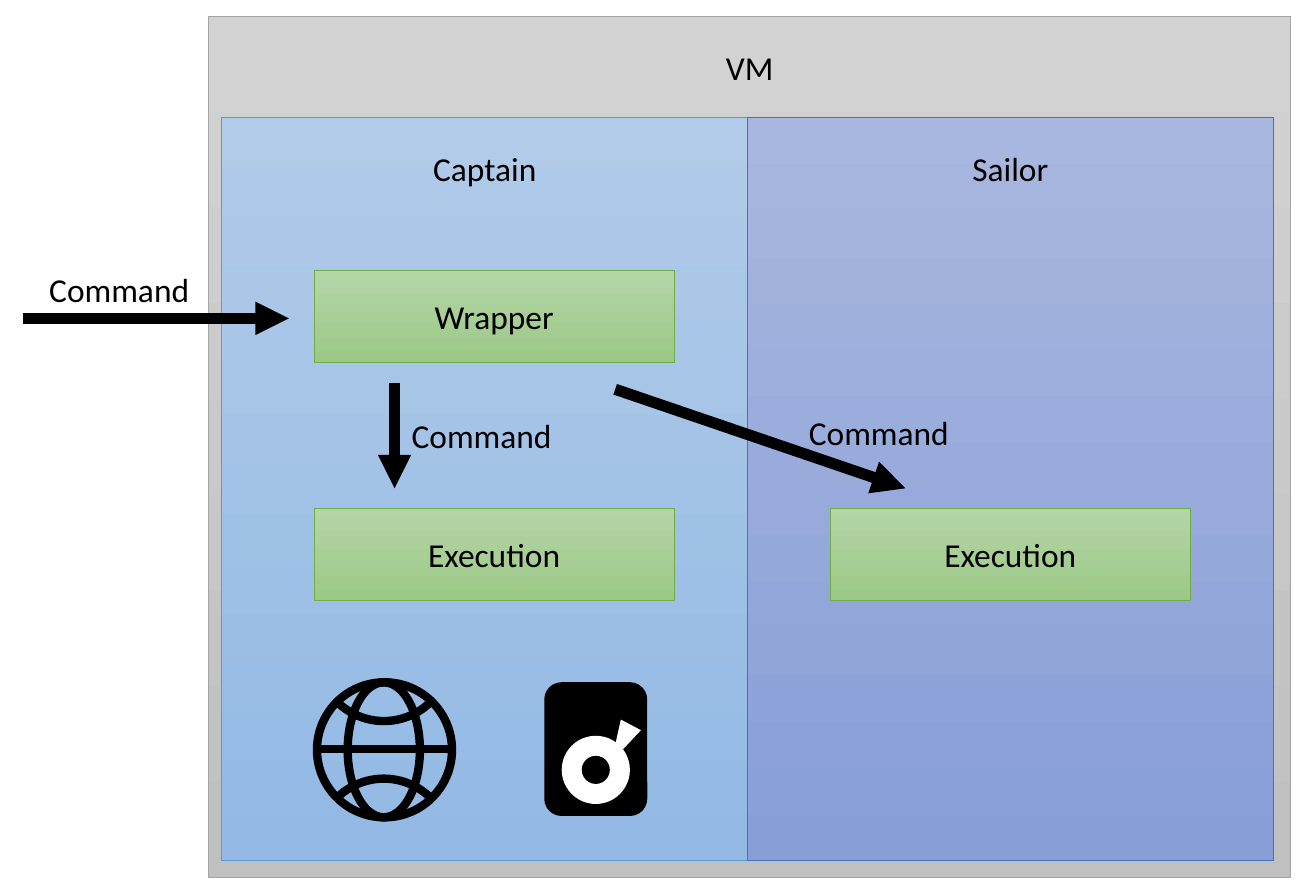
from dataclasses import dataclass
from typing import Optional

from lxml.etree import SubElement
from pptx import Presentation
from pptx.dml.color import RGBColor
from pptx.enum.shapes import MSO_CONNECTOR, MSO_SHAPE
from pptx.enum.text import MSO_ANCHOR, PP_ALIGN
from pptx.oxml.ns import qn
from pptx.util import Inches, Pt

BLACK = RGBColor(0x00, 0x00, 0x00)
WHITE = RGBColor(0xFF, 0xFF, 0xFF)


@dataclass(frozen=True)
class Palette:
    top: RGBColor
    bottom: RGBColor
    line: RGBColor


GRAY = Palette(RGBColor(0xD2, 0xD2, 0xD2), RGBColor(0xC0, 0xC0, 0xC0), RGBColor(0xA5, 0xA5, 0xA5))
BLUE = Palette(RGBColor(0xB1, 0xCB, 0xE9), RGBColor(0x93, 0xB9, 0xE4), RGBColor(0x5B, 0x9B, 0xD5))
INDIGO = Palette(RGBColor(0xA8, 0xB7, 0xDF), RGBColor(0x88, 0x9E, 0xD7), RGBColor(0x44, 0x72, 0xC4))
GREEN = Palette(RGBColor(0xB5, 0xD5, 0xA7), RGBColor(0x9C, 0xC9, 0x87), RGBColor(0x70, 0xAD, 0x47))


@dataclass(frozen=True)
class Box:
    text: str
    left: float
    top: float
    width: float
    height: float
    palette: Palette
    is_container: bool = False


@dataclass(frozen=True)
class Line:
    x1: float
    y1: float
    x2: float
    y2: float
    weight: float = 6
    arrow: bool = True


@dataclass(frozen=True)
class Label:
    text: str
    left: float
    top: float


@dataclass(frozen=True)
class IconPart:
    kind: MSO_SHAPE
    left: float
    top: float
    width: float
    height: float
    fill: Optional[RGBColor] = None
    rotation: float = 0


PANEL_TOP, PANEL_W, PANEL_H = 0.88, 3.93, 5.55
CAPTAIN_LEFT = 1.66
SAILOR_LEFT = CAPTAIN_LEFT + PANEL_W
STEP_W, STEP_H = 2.69, 0.69
WRAPPER_TOP, EXECUTION_TOP = 2.02, 3.8

BOXES = [
    Box("VM", 1.56, 0.12, 8.09, 6.44, GRAY, True),
    Box("Captain", CAPTAIN_LEFT, PANEL_TOP, PANEL_W, PANEL_H, BLUE, True),
    Box("Sailor", SAILOR_LEFT, PANEL_TOP, PANEL_W, PANEL_H, INDIGO, True),
    Box("Wrapper", 2.35, WRAPPER_TOP, STEP_W, STEP_H, GREEN),
    Box("Execution", 2.35, EXECUTION_TOP, STEP_W, STEP_H, GREEN),
    Box("Execution", 6.21, EXECUTION_TOP, STEP_W, STEP_H, GREEN),
]
ARROWS = [
    Line(0.17, 2.38, 2.16, 2.38),
    Line(2.95, 2.86, 2.95, 3.65),
    Line(4.6, 2.91, 6.77, 3.65),
]
LABELS = [
    Label("Command", 0.27, 1.96),
    Label("Command", 2.98, 3.05),
    Label("Command", 5.95, 3.03),
]
DISK = [
    IconPart(MSO_SHAPE.ROUNDED_RECTANGLE, 4.07, 5.1, 0.77, 1, BLACK),
    IconPart(MSO_SHAPE.OVAL, 4.2, 5.5, 0.51, 0.51, WHITE),
    IconPart(MSO_SHAPE.OVAL, 4.35, 5.65, 0.21, 0.21, BLACK),
    IconPart(MSO_SHAPE.ISOSCELES_TRIANGLE, 4.56, 5.4, 0.17, 0.31, WHITE, 207.9),
]
GLOBE = [
    IconPart(MSO_SHAPE.OVAL, 2.37, 5.1, 1.01, 1.01),
    IconPart(MSO_SHAPE.OVAL, 2.6, 5.1, 0.54, 1.01),
    IconPart(MSO_SHAPE.ARC, 2.37, 4.39, 1, 1, rotation=135),
    IconPart(MSO_SHAPE.ARC, 2.37, 5.82, 1, 1, rotation=315),
]
EQUATOR = Line(2.37, 5.6, 3.38, 5.6, 4.5, False)


def write(tf, text: str, align: PP_ALIGN) -> None:
    tf.text = text
    p = tf.paragraphs[0]
    p.alignment = align
    r = p.runs[0]
    r.font.name = "Calibri"
    r.font.size = Pt(18)
    r.font.color.rgb = BLACK


def add_box(s, box: Box) -> None:
    sp = s.shapes.add_shape(MSO_SHAPE.RECTANGLE, Inches(box.left), Inches(box.top),
                            Inches(box.width), Inches(box.height))
    sp.shadow.inherit = False
    sp.fill.gradient()
    sp.fill.gradient_angle = 270
    for stop, color in zip(sp.fill.gradient_stops, (box.palette.top, box.palette.bottom)):
        stop.color.rgb = color
    sp.line.color.rgb = box.palette.line
    sp.line.width = Pt(0.5)
    tf = sp.text_frame
    tf.vertical_anchor = MSO_ANCHOR.MIDDLE
    if box.is_container:
        tf.vertical_anchor = MSO_ANCHOR.TOP
        tf.margin_top = Inches(0.23)
    write(tf, box.text, PP_ALIGN.CENTER)


def add_line(s, line: Line) -> None:
    sp = s.shapes.add_connector(MSO_CONNECTOR.STRAIGHT, Inches(line.x1), Inches(line.y1),
                                Inches(line.x2), Inches(line.y2))
    sp.line.color.rgb = BLACK
    sp.line.width = Pt(line.weight)
    if line.arrow:
        SubElement(sp.line._get_or_add_ln(), qn("a:tailEnd"), type="triangle")
    SubElement(sp._element.spPr, qn("a:effectLst"))


def add_label(s, label: Label) -> None:
    sp = s.shapes.add_textbox(Inches(label.left), Inches(label.top), Inches(1.26), Inches(0.4))
    write(sp.text_frame, label.text, PP_ALIGN.LEFT)


def add_icon_part(s, part: IconPart) -> None:
    sp = s.shapes.add_shape(part.kind, Inches(part.left), Inches(part.top),
                            Inches(part.width), Inches(part.height))
    sp.shadow.inherit = False
    sp.rotation = part.rotation
    if part.fill is None:
        sp.fill.background()
        sp.line.color.rgb = BLACK
        sp.line.width = Pt(4.5)
    else:
        sp.fill.solid()
        sp.fill.fore_color.rgb = part.fill
        sp.line.fill.background()


def main() -> None:
    prs = Presentation()
    prs.slide_width, prs.slide_height = Inches(9.84), Inches(6.69)
    s = prs.slides.add_slide(prs.slide_layouts[6])
    for box in BOXES:
        add_box(s, box)
    for arrow in ARROWS:
        add_line(s, arrow)
    for label in LABELS:
        add_label(s, label)
    for part in DISK + GLOBE:
        add_icon_part(s, part)
    add_line(s, EQUATOR)
    prs.save("out.pptx")


if __name__ == "__main__":
    main()
